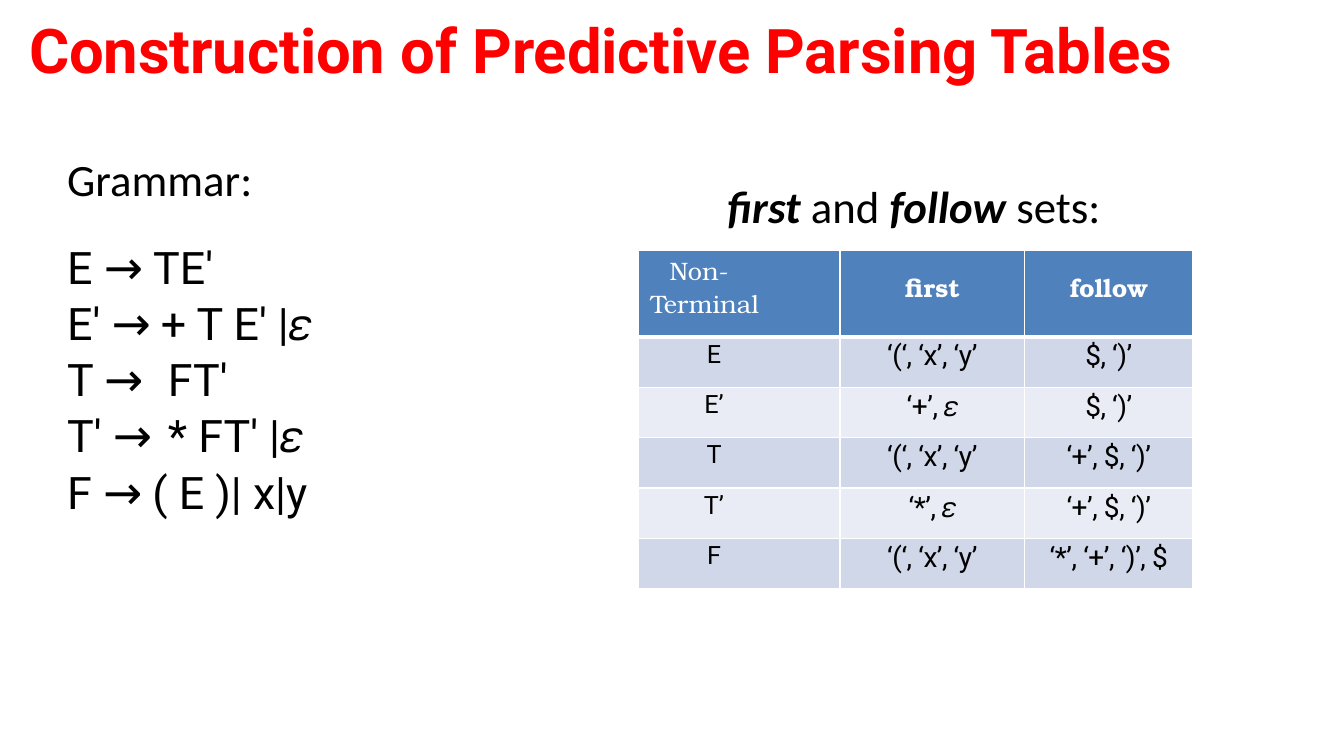
from lxml import etree
from pptx import Presentation, util as u
from pptx.dml.color import RGBColor
from pptx.enum import text
from pptx.oxml import ns

# The slide is a grid of 160 columns by 90 rows, twelve to the inch
COLUMNS, ROWS = 160, 90
COLORS = {"title": "FF0000", "ink": "000000", "line": "FFFFFF",
          "header": "4F81BC", "odd": "D0D7E8", "even": "E9ECF4"}
EPSILON = "𝜀"
RULES = ["E → TE'", f"E' → + T E' |{EPSILON}", "T →\tFT'",
         f"T' →\t* FT' |{EPSILON}", "F → ( E )| x|y"]
HEADERS = ["Non-Terminal", "first", "follow"]
SETS = [["E", "‘(‘, ‘x’, ‘y’", "$, ‘)’"],
        ["E’", f"‘+’, {EPSILON}", "$, ‘)’"],
        ["T", "‘(‘, ‘x’, ‘y’", "‘+’, $, ‘)’"],
        ["T’", f"‘*’, {EPSILON}", "‘+’, $, ‘)’"],
        ["F", "‘(‘, ‘x’, ‘y’", "‘*’, ‘+’, ‘)’, $"]]


def grid(units):
    return u.Inches(units / 12)


def style_run(run, size, font="Roboto", color="ink", bold=False, italic=False, spacing=0):
    run.font.size, run.font.name = u.Pt(size), font
    run.font.bold, run.font.italic = bold, italic
    run.font.color.rgb = RGBColor.from_string(COLORS[color])
    if spacing:
        run.font._element.set("spc", str(round(spacing * 100)))


def add_run(paragraph, words, size, **style):
    run = paragraph.add_run()
    run.text = words
    style_run(run, size, **style)


def place(shape, left, top, width, height, inset=0.01):
    """Move a placeholder onto the grid and return its cleared text frame."""
    shape.left, shape.top = grid(left), grid(top)
    shape.width, shape.height = grid(width), grid(height)
    frame = shape.text_frame
    frame.word_wrap = True
    frame.auto_size = text.MSO_AUTO_SIZE.NONE
    frame.vertical_anchor = text.MSO_ANCHOR.TOP
    frame.margin_left = frame.margin_right = frame.margin_bottom = 0
    frame.margin_top = u.Inches(inset)
    return frame


def plain(paragraph, tabs=()):
    """Remove the bullet, indent and spacing that the template gives."""
    properties = paragraph._p.get_or_add_pPr()
    properties.set("marL", "0")
    properties.set("indent", "0")
    etree.SubElement(properties, ns.qn("a:buNone"))
    if tabs:
        tab_list = etree.SubElement(properties, ns.qn("a:tabLst"))
        for inches in tabs:
            etree.SubElement(tab_list, ns.qn("a:tab"), pos=str(u.Inches(inches)), algn="l")
    paragraph.space_before = u.Pt(0)
    return paragraph


def write_title(shape):
    frame = place(shape, 3, 3, 137, 8, inset=0.08)
    frame.text = "Construction of Predictive Parsing Tables"
    paragraph = frame.paragraphs[0]
    paragraph.alignment = text.PP_ALIGN.CENTER
    paragraph.line_spacing = u.Pt(37.8)
    style_run(paragraph.runs[0], 44, color="title", bold=True, spacing=-0.1)


def write_heading(shape, box, parts):
    """Parts are pairs of words and whether they are emphasised."""
    paragraph = plain(place(shape, *box).paragraphs[0])
    for words, strong in parts:
        add_run(paragraph, words, 32, font="Calibri", bold=strong, italic=strong)


def write_rules(shape):
    frame = place(shape, 8, 28, 56.6, 33.7, inset=0.02)
    frame.text = "\n".join(RULES)
    for paragraph, rule in zip(frame.paragraphs, RULES):
        paragraph.clear()
        plain(paragraph, tabs=(1, 2))
        symbol, production = rule.split("→")
        add_run(paragraph, symbol, 32)
        add_run(paragraph, "→" + production[0], 33.5, spacing=-1.2)
        add_run(paragraph, production[1:], 32)


def border_cell(cell, row):
    """White lines all round, with a thick one under the header."""
    properties = cell._tc.get_or_add_tcPr()
    thick = {0: "lnB", 1: "lnT"}.get(row)
    for position, side in enumerate(("lnL", "lnR", "lnT", "lnB")):
        width = u.Pt(3 if side == thick else 1)
        line = etree.Element(ns.qn(f"a:{side}"), w=str(width))
        fill = etree.SubElement(line, ns.qn("a:solidFill"))
        etree.SubElement(fill, ns.qn("a:srgbClr"), val=COLORS["line"])
        properties.insert(position, line)


def fill_cell(cell, row, column, words):
    header, first = row == 0, column == 0
    cell.text = words
    cell.margin_left = cell.margin_bottom = 0
    cell.margin_right = u.Inches(0.5 if first else 0)
    cell.margin_top = u.Inches(0.18 if header and not first else 0.03)
    cell.fill.solid()
    shade = "header" if header else "odd" if row % 2 else "even"
    cell.fill.fore_color.rgb = RGBColor.from_string(COLORS[shade])
    border_cell(cell, row)
    paragraph = cell.text_frame.paragraphs[0]
    if header and first:
        properties = paragraph._p.get_or_add_pPr()
        properties.set("marL", str(u.Inches(0.12)))
        properties.set("indent", str(u.Inches(0.19)))
    else:
        paragraph.alignment = text.PP_ALIGN.CENTER
    run = paragraph.runs[0]
    if header:
        style_run(run, 18, font="TeX Gyre Bonum", color="line", bold=not first)
    else:
        style_run(run, 18 if first else 20, spacing=0 if first else -0.3)


def add_sets_table(slide):
    rows = [HEADERS] + SETS
    widths, heights = [24, 22, 20], [10.3] + [6] * len(SETS)
    table = slide.shapes.add_table(len(rows), len(widths), grid(76), grid(29.8),
                                   grid(sum(widths)), grid(sum(heights))).table
    table.horz_banding = False
    for column, width in zip(table.columns, widths):
        column.width = grid(width)
    for row, height in zip(table.rows, heights):
        row.height = grid(height)
    for row, values in enumerate(rows):
        for column, words in enumerate(values):
            fill_cell(table.cell(row, column), row, column, words)


def main():
    presentation = Presentation()
    presentation.slide_width, presentation.slide_height = grid(COLUMNS), grid(ROWS)
    comparison = presentation.slide_layouts.get_by_name("Comparison")
    slide = presentation.slides.add_slide(comparison)
    title, left_heading, left_body, right_heading, right_body = slide.placeholders

    # Title
    write_title(title)
    # Grammar on the left
    write_heading(left_heading, (8, 18, 22.4, 6.7), [("Grammar:", False)])
    write_rules(left_body)
    # First and follow sets on the right, with the table as body
    write_heading(right_heading, (86.6, 21.1, 44.8, 6.7),
                  [("first ", True), ("and ", False), ("follow ", True), ("sets:", False)])
    right_body._element.getparent().remove(right_body._element)
    add_sets_table(slide)

    presentation.save("out.pptx")


if __name__ == "__main__":
    main()
